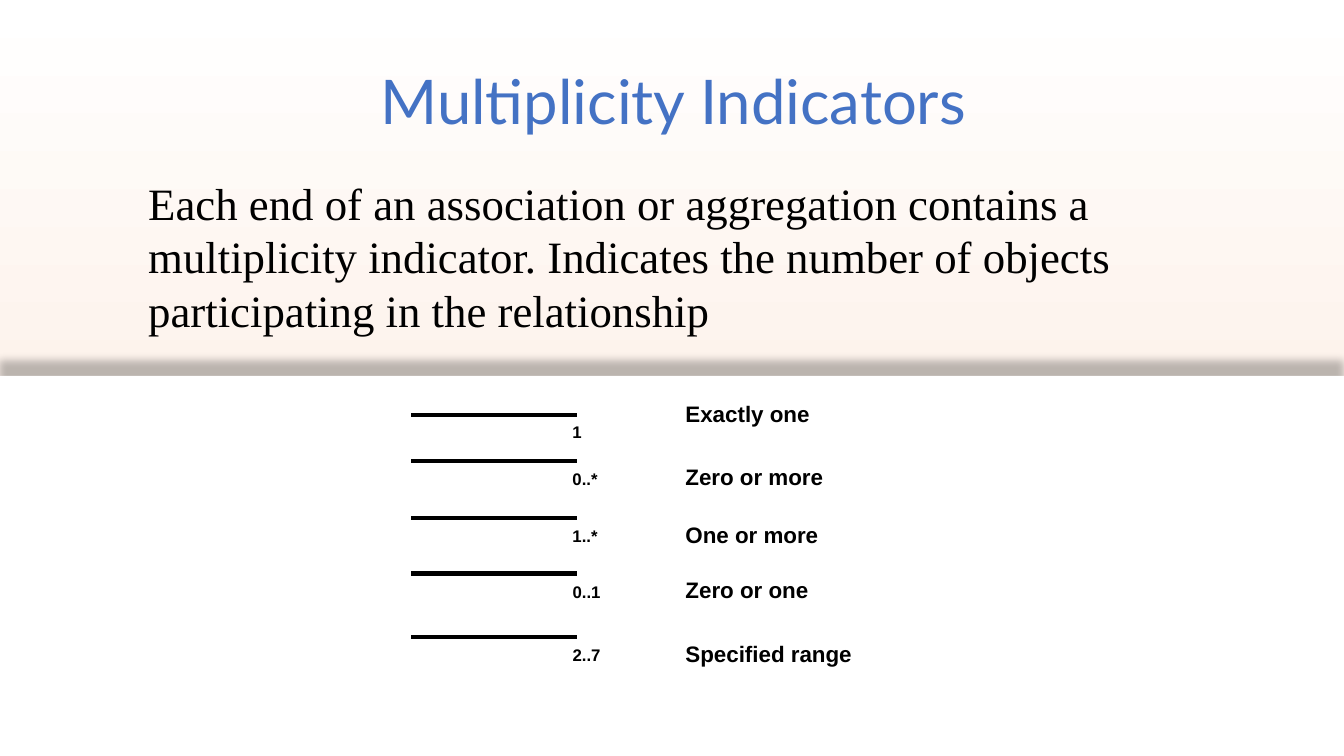
from lxml import etree
from pptx import Presentation
from pptx.dml.color import RGBColor
from pptx.enum.shapes import MSO_CONNECTOR as CONNECTOR, MSO_SHAPE as SHAPE
from pptx.enum.text import MSO_ANCHOR as ANCHOR, MSO_AUTO_SIZE as AUTO_SIZE, PP_ALIGN as ALIGN
from pptx.oxml import parse_xml
from pptx.oxml.ns import nsdecls, qn
from pptx.util import Inches, Pt


def color(hex_code):
    return RGBColor.from_string(hex_code)


def add_text(left, top, width, height, text, size, font, hex_code="000000", bold=False, wrap=True):
    box = slide.shapes.add_textbox(Inches(left), Inches(top), Inches(width), Inches(height))
    frame = box.text_frame
    frame.word_wrap = wrap
    frame.auto_size = AUTO_SIZE.NONE if wrap else AUTO_SIZE.SHAPE_TO_FIT_TEXT
    frame.text = text
    style = frame.paragraphs[0].runs[0].font
    style.size = Pt(size)
    style.name = font
    style.bold = bold
    style.color.rgb = color(hex_code)
    return frame


prs = Presentation()
prs.slide_width = Inches(13.33)
prs.slide_height = Inches(7.5)
slide = prs.slides.add_slide(prs.slide_layouts[6])

backdrop = slide.background.fill
backdrop.gradient()
backdrop.gradient_angle = 270
for stop, hex_code in zip(backdrop.gradient_stops, ("FFFFFF", "FBE5D6")):
    stop.color.rgb = color(hex_code)

panel = slide.shapes.add_shape(SHAPE.RECTANGLE, 0, Inches(3.73), Inches(13.33), Inches(3.77))
panel.fill.solid()
panel.fill.fore_color.rgb = color("FFFFFF")
panel.line.fill.background()
panel._element.spPr.append(parse_xml(
    f'<a:effectLst {nsdecls("a")}>'
    '<a:outerShdw blurRad="76200" dist="139700" dir="16200000" rotWithShape="0">'
    '<a:srgbClr val="000000"><a:alpha val="25000"/></a:srgbClr>'
    '</a:outerShdw></a:effectLst>'))

indicators = [
    (4.12, 3.92, 4.13, "1", 0.3, "Exactly one", 1.44),
    (4.57, 4.55, 4.6, "0..*", 0.46, "Zero or more", 1.57),
    (5.14, 5.12, 5.17, "1..*", 0.46, "One or more", 1.52),
    (5.69, 5.67, 5.72, "0..1", 0.48, "Zero or one", 1.42),
    (6.32, 6.3, 6.35, "2..7", 0.48, "Specified range", 1.86),
]
for line_y, meaning_y, mark_y, mark, mark_width, meaning, meaning_width in indicators:
    association = slide.shapes.add_connector(
        CONNECTOR.STRAIGHT, Inches(4.08), Inches(line_y), Inches(5.72), Inches(line_y))
    association.line.width = Pt(3)
    association.line.color.rgb = color("000000")
    etree.SubElement(association._element.spPr, qn("a:effectLst"))
    add_text(5.58, mark_y, mark_width, 0.3, mark, 12, "Arial", bold=True, wrap=False)
    add_text(6.7, meaning_y, meaning_width, 0.37, meaning, 16, "Arial", bold=True, wrap=False)

title = add_text(1.76, 0.7, 9.84, 0.58, "Multiplicity Indicators", 44, "Lato", "4472C4")
title.vertical_anchor = ANCHOR.MIDDLE
title.paragraphs[0].alignment = ALIGN.CENTER

definition = add_text(
    1.35, 1.68, 10.62, 5.52,
    "Each end of an association or aggregation contains a multiplicity indicator. "
    "Indicates the number of objects participating in the relationship",
    32, "Times New Roman")
definition.margin_left = definition.margin_right = Inches(0.12)
definition.margin_top = definition.margin_bottom = Inches(0.06)
definition.paragraphs[0].space_before = Pt(6.4)

prs.save("out.pptx")
